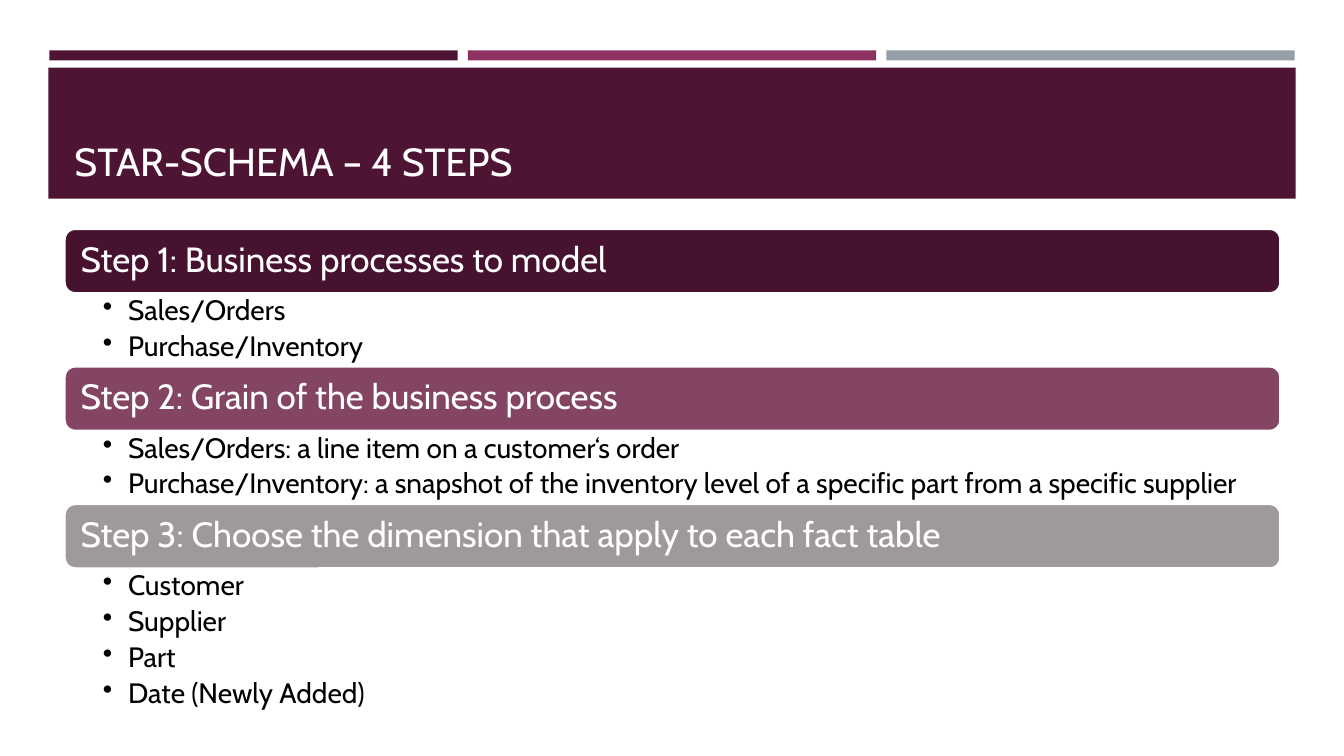
import pptx
import pptx.util
import pptx.dml.color
import pptx.enum.shapes
import pptx.enum.text
import lxml.etree
from pptx.oxml.ns import qn

Inches, Pt = pptx.util.Inches, pptx.util.Pt
RGB = pptx.dml.color.RGBColor
SHAPE = pptx.enum.shapes.MSO_SHAPE
ANCHOR = pptx.enum.text.MSO_ANCHOR
ALIGN = pptx.enum.text.PP_ALIGN

PLUM, MAGENTA, GRAY = RGB(0x4D, 0x14, 0x34), RGB(0x90, 0x31, 0x63), RGB(0x96, 0x9F, 0xA7)
DARK, MAUVE, TAUPE = RGB(0x46, 0x12, 0x2F), RGB(0x83, 0x45, 0x63), RGB(0x9F, 0x99, 0x9C)
WHITE, BLACK = RGB(255, 255, 255), RGB(0, 0, 0)
FONT = "Cabin"

# Content
TITLE = "STAR-SCHEMA – 4 STEPS"
STEPS = [
    ("Step 1: Business processes to model", DARK,
     ["Sales/Orders", "Purchase/Inventory"]),
    ("Step 2: Grain of the business process", MAUVE,
     ["Sales/Orders: a line item on a customer‘s order",
      "Purchase/Inventory: a snapshot of the inventory level of a specific part "
      "from a specific supplier"]),
    ("Step 3: Choose the dimension that apply to each fact table", TAUPE,
     ["Customer", "Supplier", "Part", "Date (Newly Added)"]),
]

# Layout in inches
LEFT, WIDTH = 0.64, 12.06
STRIP_W, STRIP_GAP = 4.05, 0.1
STEPS_TOP, BAR_H, ROW_H = 2.27, 0.64, 0.36

prs = pptx.Presentation()
prs.slide_width, prs.slide_height = Inches(13.33), Inches(7.5)
s = prs.slides.add_slide(prs.slide_layouts[6])


def add_box(kind, x, y, w, h, fill):
    sp = s.shapes.add_shape(kind, Inches(x), Inches(y), Inches(w), Inches(h))
    sp.shadow.inherit = False
    sp.fill.solid()
    sp.fill.fore_color.rgb = fill
    sp.line.fill.background()
    return sp


def add_text(sp, lines, size, color, anchor, insets):
    tf = sp.text_frame
    tf.word_wrap, tf.vertical_anchor = True, anchor
    tf.margin_left, tf.margin_top, tf.margin_right, tf.margin_bottom = map(Inches, insets)
    for i, line in enumerate(lines):
        p = tf.paragraphs[0] if i == 0 else tf.add_paragraph()
        p.text, p.alignment, p.line_spacing = line, ALIGN.LEFT, 0.9
        p.font.name, p.font.size, p.font.color.rgb = FONT, Pt(size), color
    return tf


def add_textbox(x, y, w, h):
    return s.shapes.add_textbox(Inches(x), Inches(y), Inches(w), Inches(h))


# Header strips and title band
for i, color in enumerate((PLUM, MAGENTA, GRAY)):
    add_box(SHAPE.RECTANGLE, 0.49 + i * (STRIP_W + STRIP_GAP), 0.5, STRIP_W, 0.1, color)
add_box(SHAPE.RECTANGLE, 0.48, 0.67, 12.37, 1.3, PLUM)
add_text(add_textbox(LEFT, 0.77, WIDTH, 1.11), [TITLE], 28, WHITE,
         ANCHOR.BOTTOM, (0.1, 0.05, 0.1, 0.05))

# Steps: each bar is followed by its bullet list
y = STEPS_TOP
for heading, color, items in STEPS:
    bar = add_box(SHAPE.ROUNDED_RECTANGLE, LEFT, y, WIDTH, BAR_H, color)
    bar.line.color.rgb, bar.line.width = WHITE, Pt(1.75)
    add_text(bar, [heading], 25, WHITE, ANCHOR.MIDDLE, (0.13, 0.1, 0.13, 0.1))
    y += BAR_H
    list_h = ROW_H * len(items)
    tf = add_text(add_textbox(LEFT, y, WIDTH, list_h), items, 20, BLACK,
                  ANCHOR.TOP, (0.38, 0.03, 0.19, 0.03))
    for p in tf.paragraphs:
        p.space_after = Pt(4)
        pPr = p._p.get_or_add_pPr()
        pPr.set("marL", str(Inches(0.25)))
        pPr.set("indent", str(-Inches(0.25)))
        bullet = lxml.etree.Element(qn("a:buChar"), char="•")
        pPr.find(qn("a:defRPr")).addprevious(bullet)
    y += list_h + 0.005

prs.save("out.pptx")
